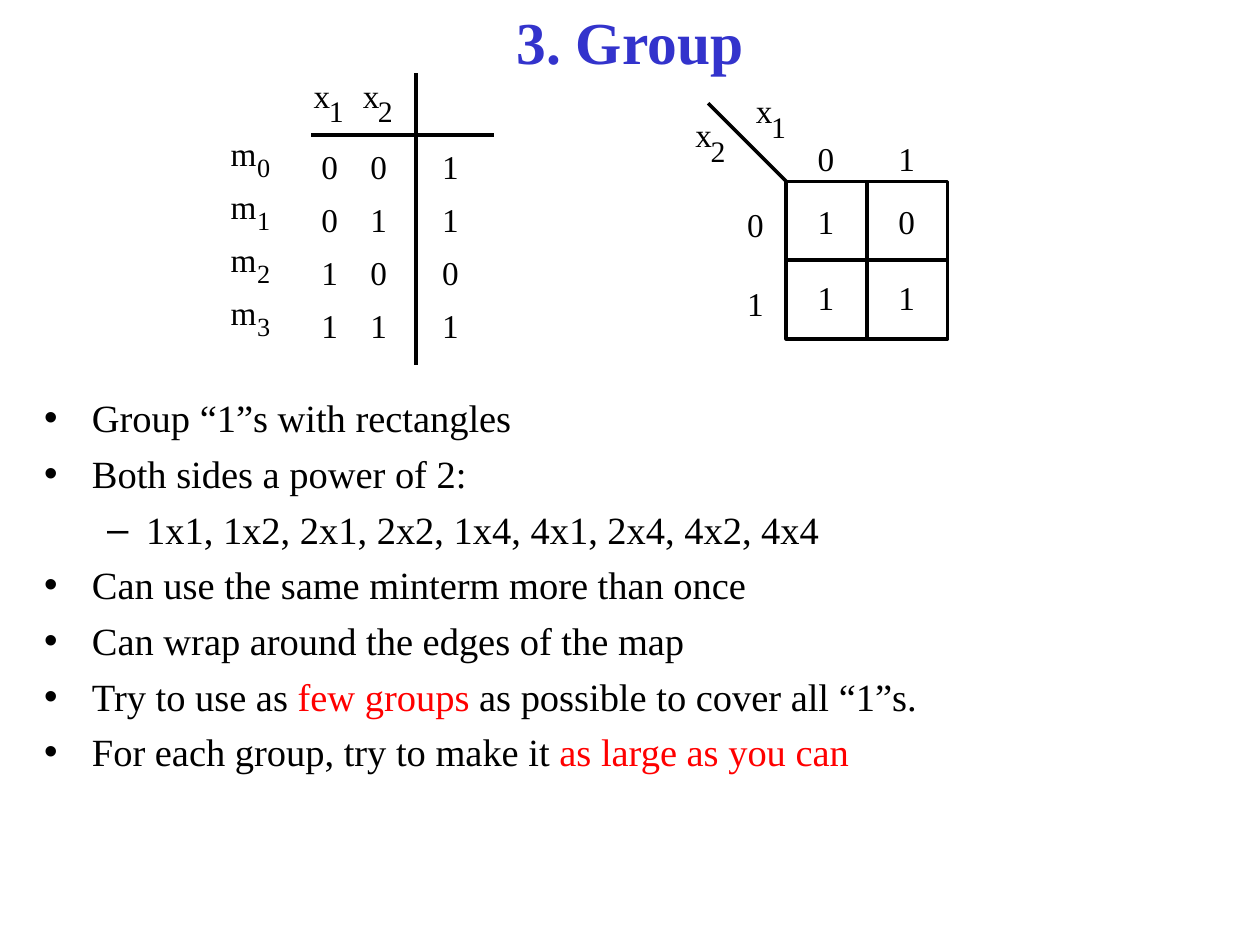
from lxml.etree import SubElement
from pptx import Presentation
from pptx.dml.color import RGBColor
from pptx.enum.shapes import MSO_CONNECTOR, MSO_SHAPE
from pptx.enum.text import MSO_ANCHOR, MSO_AUTO_SIZE, PP_ALIGN
from pptx.oxml.ns import qn
from pptx.util import Inches, Pt

BLACK = RGBColor(0, 0, 0)
WHITE = RGBColor(255, 255, 255)
BLUE = RGBColor(0x33, 0x33, 0xCC)
RED = RGBColor(255, 0, 0)
FONT = "Times New Roman"
TEXT_SIZE = 19
LINE_WIDTH = Pt(2)

# Truth table: column lefts, first row top and row pitch, in inches
INPUT_COLS = (2.55, 2.94)
OUTPUT_COL = 3.51
MINTERM_COL = 1.83
ROW_TOP, ROW_PITCH = 1.16, 0.42
TRUTH_ROWS = ("001", "011", "100", "111")

# Karnaugh map
MAP_LEFT, MAP_TOP, MAP_WIDTH, MAP_HEIGHT = 6.24, 1.44, 1.28, 1.25
MAP_COLS = (6.49, 7.13)
MAP_ROWS = (1.6, 2.2)
MAP_VALUES = ("10", "11")

# Each bullet: level, then (text, colour) pieces
BULLETS = (
    (0, [("Group “1”s with rectangles", BLACK)]),
    (0, [("Both sides a power of 2:", BLACK)]),
    (1, [("1x1, 1x2, 2x1, 2x2, 1x4, 4x1, 2x4, 4x2, 4x4", BLACK)]),
    (0, [("Can use the same minterm more than once", BLACK)]),
    (0, [("Can wrap around the edges of the map", BLACK)]),
    (0, [("Try to use as ", BLACK), ("few groups ", RED),
         ("as possible to cover all “1”s.", BLACK)]),
    (0, [("For each group, try to make it ", BLACK),
         ("as large as you can", RED)]),
)
INDENTS = ((0.38, -0.38), (0.81, -0.31))


def style(run, size, color=BLACK, bold=False):
    font = run.font
    font.name, font.size, font.bold = FONT, Pt(size), bold
    font.color.rgb = color


def place(shape, left, top, width, height):
    shape.left, shape.top = Inches(left), Inches(top)
    shape.width, shape.height = Inches(width), Inches(height)


def add_label(shapes, text, left, top, size=TEXT_SIZE):
    box = shapes.add_textbox(Inches(left), Inches(top), Inches(0.2),
                             Pt(size * 1.2))
    frame = box.text_frame
    frame.margin_left = frame.margin_right = 0
    frame.margin_top = frame.margin_bottom = 0
    frame.word_wrap = False
    frame.text = text
    style(frame.paragraphs[0].runs[0], size)


def add_symbol(shapes, letter, index, left, top, shift=0.12, index_size=17):
    """Add a letter with its lowered index as one group."""
    symbol = shapes.add_group_shape().shapes
    add_label(symbol, letter, left, top)
    add_label(symbol, index, left + shift, top + 0.14, index_size)


def add_line(shapes, x1, y1, x2, y2):
    line = shapes.add_connector(MSO_CONNECTOR.STRAIGHT, Inches(x1), Inches(y1),
                                Inches(x2), Inches(y2))
    line.line.color.rgb = BLACK
    line.line.width = LINE_WIDTH
    SubElement(line._element.spPr, qn("a:effectLst"))
    return line


def add_truth_table(shapes):
    add_line(shapes, 2.47, 1.07, 3.92, 1.07)
    add_line(shapes, 3.3, 0.58, 3.3, 2.9)
    for index, left in zip("12", INPUT_COLS):
        add_symbol(shapes, "x", index, left - 0.06, 0.6)
    for row, values in enumerate(TRUTH_ROWS):
        top = ROW_TOP + row * ROW_PITCH
        add_symbol(shapes, "m", str(row), MINTERM_COL, top - 0.1, 0.21, 15)
        for value, left in zip(values, (*INPUT_COLS, OUTPUT_COL)):
            add_label(shapes, value, left, top)


def add_karnaugh_map(shapes):
    frame = shapes.add_shape(MSO_SHAPE.RECTANGLE, 0, 0, 0, 0)
    place(frame, MAP_LEFT, MAP_TOP, MAP_WIDTH, MAP_HEIGHT)
    frame.shadow.inherit = False
    frame.fill.solid()
    frame.fill.fore_color.rgb = WHITE
    frame.line.color.rgb = BLACK
    frame.line.width = LINE_WIDTH

    for start, end in ((1, 3), (0, 2)):
        divider = add_line(shapes, 0, 0, 1, 1)
        divider.begin_connect(frame, start)
        divider.end_connect(frame, end)
    add_line(shapes, MAP_LEFT - 0.62, MAP_TOP - 0.62, MAP_LEFT, MAP_TOP)

    add_symbol(shapes, "x", "1", 6, 0.72)
    add_symbol(shapes, "x", "2", 5.52, 0.91)
    for heading, left in zip("01", MAP_COLS):
        add_label(shapes, heading, left, 1.1)
    for heading, top, values in zip("01", (1.62, 2.25), MAP_VALUES):
        add_label(shapes, heading, 5.93, top)
    for top, values in zip(MAP_ROWS, MAP_VALUES):
        for value, left in zip(values, MAP_COLS):
            add_label(shapes, value, left, top)


def fill_title(title):
    place(title, 0.25, 0.07, 9.5, 0.51)
    frame = title.text_frame
    frame.text = "3. Group"
    frame.auto_size = MSO_AUTO_SIZE.NONE
    frame.vertical_anchor = MSO_ANCHOR.MIDDLE
    frame.paragraphs[0].alignment = PP_ALIGN.CENTER
    style(frame.paragraphs[0].runs[0], 34, BLUE, bold=True)


def fill_bullets(body):
    place(body, 0.25, 3.08, 9.58, 3.14)
    frame = body.text_frame
    frame.auto_size = MSO_AUTO_SIZE.NONE
    frame.vertical_anchor = MSO_ANCHOR.TOP
    for number, (level, pieces) in enumerate(BULLETS):
        paragraph = frame.add_paragraph() if number else frame.paragraphs[0]
        paragraph.level = level
        paragraph.space_before = Pt(5.4)
        properties = paragraph._p.get_or_add_pPr()
        margin, indent = INDENTS[level]
        properties.set("marL", str(Inches(margin)))
        properties.set("indent", str(Inches(indent)))
        for text, color in pieces:
            run = paragraph.add_run()
            run.text = text
            style(run, 22, color)


def main():
    deck = Presentation()
    deck.slide_width, deck.slide_height = Inches(10), Inches(7.5)
    slide = deck.slides.add_slide(deck.slide_layouts[1])
    fill_title(slide.shapes.title)
    add_karnaugh_map(slide.shapes)
    add_truth_table(slide.shapes)
    fill_bullets(slide.placeholders[1])
    deck.save("out.pptx")


if __name__ == "__main__":
    main()
